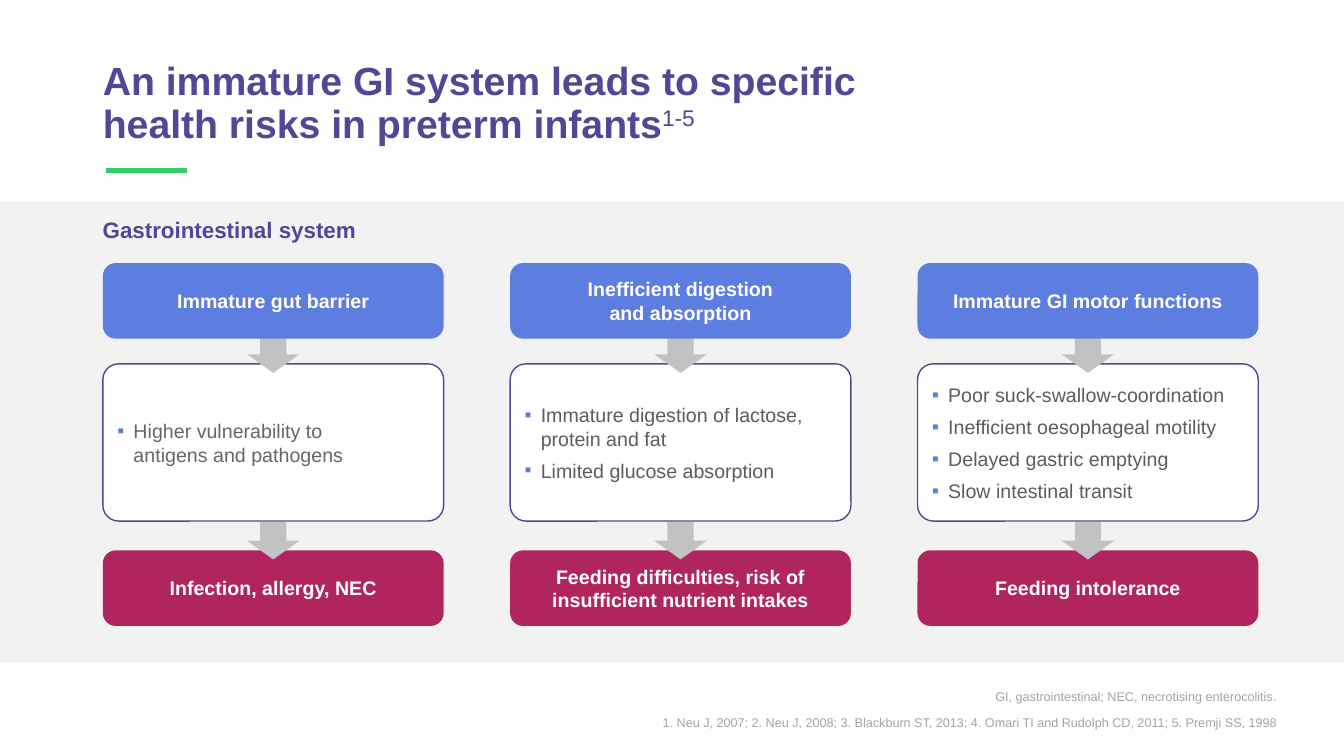
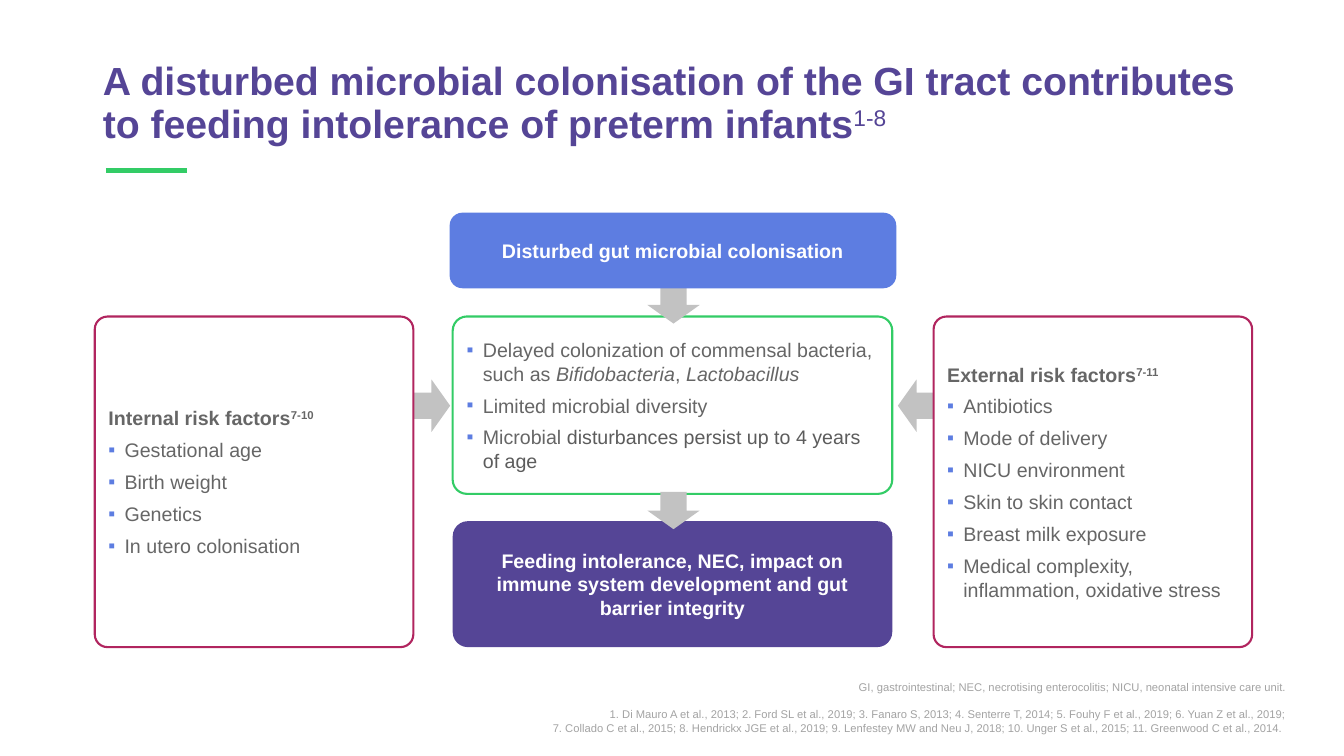
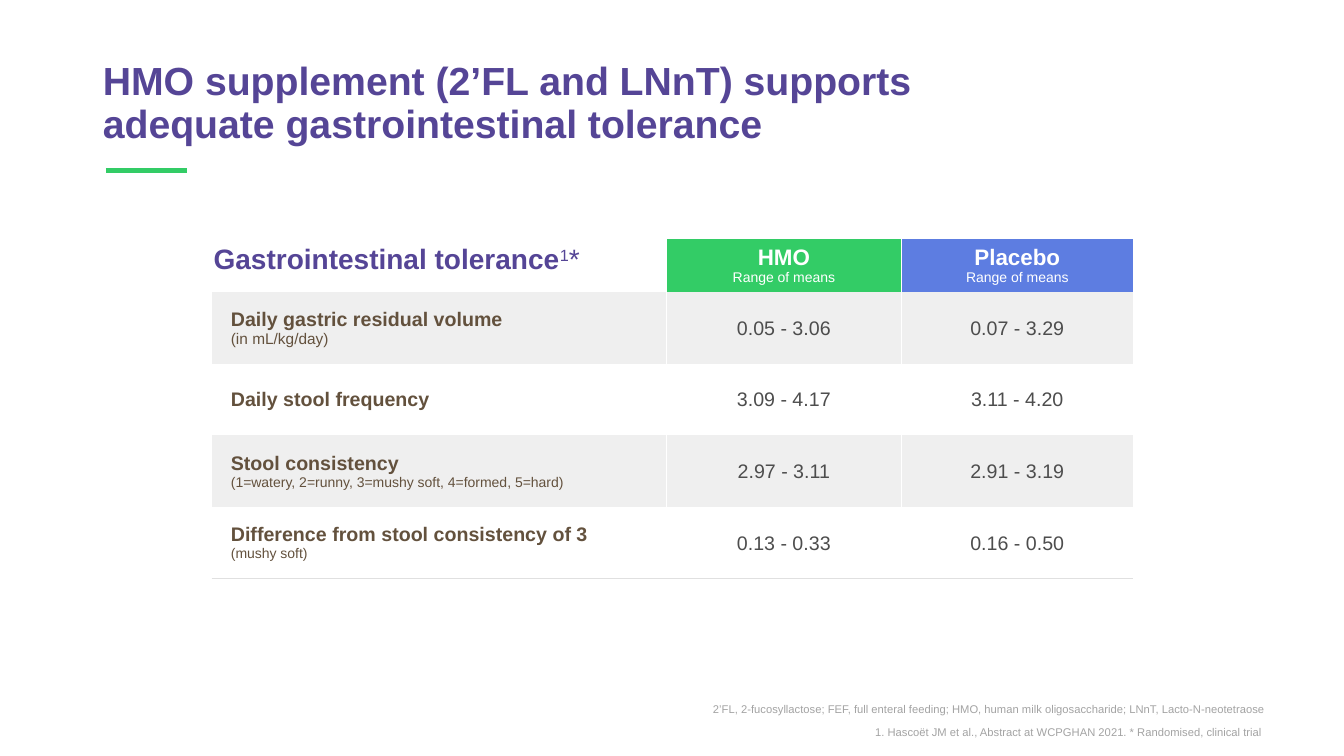
"""Build three slides on gastrointestinal immaturity and tolerance in preterm infants."""
from dataclasses import dataclass

from lxml.etree import SubElement
from pptx import Presentation
from pptx.dml.color import RGBColor
from pptx.enum.shapes import MSO_CONNECTOR, MSO_SHAPE
from pptx.enum.text import MSO_ANCHOR, MSO_AUTO_SIZE, PP_ALIGN
from pptx.oxml.ns import qn
from pptx.util import Inches, Pt


@dataclass(frozen=True)
class Theme:
    font: str = "Arial"
    purple: str = "554596"
    green: str = "33CC66"
    blue: str = "5D7DE1"
    berry: str = "B1255F"
    white: str = "FFFFFF"
    band: str = "F2F2F2"
    arrow: str = "C2C2C2"
    body: str = "666666"
    body_dark: str = "5C5C5C"
    note: str = "A3A3A3"
    row_label: str = "63513D"
    row_value: str = "4D4D4D"
    row_shade: str = "EFEFEF"
    row_rule: str = "E0E0E0"
    title_size: int = 28
    table_title_size: int = 20
    heading_size: int = 16
    body_size: int = 14
    note_size: int = 9
    small_note_size: int = 8


THEME = Theme()
SUPER = {"superscript": True}
LIGHT_SUPER = {"superscript": True, "bold": False}
ITALIC = {"italic": True}

RISK_TITLE = [("An immature GI system leads to specific health risks in preterm infants", {}),
              ("1-5", LIGHT_SUPER)]
RISK_COLUMNS = [
    ("Immature gut barrier", THEME.body,
     ["Higher vulnerability to\nantigens and pathogens"],
     "Infection, allergy, NEC"),
    ("Inefficient digestion\nand absorption", THEME.body_dark,
     ["Immature digestion of lactose, protein and fat", "Limited glucose absorption"],
     "Feeding difficulties, risk of insufficient nutrient intakes"),
    ("Immature GI motor functions", THEME.body_dark,
     ["Poor suck-swallow-coordination", "Inefficient oesophageal motility",
      "Delayed gastric emptying", "Slow intestinal transit"],
     "Feeding intolerance"),
]
RISK_ABBREVIATIONS = [("GI, gastrointestinal; NEC, necrotising enterocolitis", {}),
                      (".", {"size": 10})]
RISK_REFERENCES = ("1. Neu J, 2007; 2. Neu J, 2008; 3. Blackburn ST, 2013; "
                   "4. Omari TI and Rudolph CD, 2011; 5. Premji SS, 1998")

COLONISATION_TITLE = [("A disturbed microbial colonisation of the GI tract contributes "
                       "to feeding intolerance of preterm infants", {}),
                      ("1-8", LIGHT_SUPER)]
COLONISATION_POINTS = [
    [("Delayed colonization of commensal bacteria, such as ", {}), ("Bifidobacteria", ITALIC),
     (", ", {}), ("Lactobacillus", ITALIC)],
    "Limited microbial diversity",
    [("Microbial ", {}),
     ("disturbances persist up to 4 years of age", {"color": THEME.body_dark})],
]
COLONISATION_OUTCOME = ("Feeding intolerance, NEC, impact on immune system development "
                        "and gut barrier integrity")
RISK_FACTORS = [
    (0.94, 4.02, 270, [("Internal risk factors", {}), ("7-10", SUPER)],
     ["Gestational age", "Birth weight", "Genetics", "In utero colonisation"]),
    (9.26, 8.83, 90, [("External risk factors", {}), ("7-11", SUPER)],
     ["Antibiotics", "Mode of delivery", "NICU environment", "Skin to skin contact",
      "Breast milk exposure", "Medical complexity, inflammation, oxidative stress"]),
]
COLONISATION_ABBREVIATIONS = ("GI, gastrointestinal; NEC, necrotising enterocolitis; "
                              "NICU, neonatal intensive care unit.")
COLONISATION_REFERENCES = [
    "1. Di Mauro A et al., 2013; 2. Ford SL et al., 2019; 3. Fanaro S, 2013; "
    "4. Senterre T, 2014; 5. Fouhy F et al., 2019; 6. Yuan Z et al., 2019;",
    "7. Collado C et al., 2015; 8. Hendrickx JGE et al., 2019; 9. Lenfestey MW and Neu J, 2018; "
    "10. Unger S et al., 2015; 11. Greenwood C et al., 2014. ",
]

TOLERANCE_TITLE = "HMO supplement (2’FL and LNnT) supports adequate gastrointestinal tolerance"
TABLE_TITLE = [("Gastrointestinal tolerance", {}), ("1", LIGHT_SUPER), ("*", {"bold": False})]
TABLE_GROUPS = [("HMO", THEME.green), ("Placebo", THEME.blue)]
TABLE_ROWS = [
    ("Daily gastric residual volume", "(in mL/kg/day)", 11, "0.05 - 3.06", "0.07 - 3.29"),
    ("Daily stool frequency", "", 10, "3.09 - 4.17", "3.11 - 4.20"),
    ("Stool consistency", "(1=watery, 2=runny, 3=mushy soft, 4=formed, 5=hard)", 10,
     "2.97 - 3.11", "2.91 - 3.19"),
    ("Difference from stool consistency of 3", "(mushy soft)", 10, "0.13 - 0.33", "0.16 - 0.50"),
]
TABLE_COLUMNS = [4.51, 2.33, 2.3]
HEADER_HEIGHT, ROW_HEIGHT = 0.53, 0.71
PLAIN_TABLE_STYLE = "{2D5ABB26-0587-4C30-8999-92F81FD0307C}"
TOLERANCE_ABBREVIATIONS = ("2’FL, 2-fucosyllactose; FEF, full enteral feeding; "
                           "HMO, human milk oligosaccharide; LNnT, Lacto-N-neotetraose")
TOLERANCE_REFERENCES = ("1. Hascoët JM et al., Abstract at WCPGHAN 2021. "
                        "* Randomised, clinical trial ")

ARROW_WIDTH, ARROW_HEIGHT = 0.52, 0.37
HEADER_BOX_HEIGHT = 0.75


def rgb(color):
    return RGBColor.from_string(color)


def format_run(run, size, color, bold=False, italic=False, superscript=False):
    font = run.font
    font.name, font.size = THEME.font, Pt(size)
    font.bold, font.italic = bold, italic
    font.color.rgb = rgb(color)
    if superscript:
        run._r.get_or_add_rPr().set("baseline", "30000")


def write(frame, text, align=PP_ALIGN.LEFT, bullet=False, indent=0, space_after=0,
          line_spacing=None, **style):
    """Add a paragraph from a string or a list of (text, style) runs."""
    paragraph = frame.paragraphs[0]
    if paragraph.runs:
        paragraph = frame.add_paragraph()
    properties = paragraph._p.get_or_add_pPr()
    if bullet:
        properties.set("marL", str(Inches(0.16)))
        properties.set("indent", str(-Inches(0.16)))
        SubElement(SubElement(properties, qn("a:buClr")), qn("a:srgbClr"), val=THEME.blue)
        SubElement(properties, qn("a:buFont"), typeface=THEME.font)
        SubElement(properties, qn("a:buChar"), char="▪")
    elif indent:
        properties.set("marL", str(Inches(indent)))
    paragraph.alignment = align
    paragraph.space_before, paragraph.space_after = Pt(0), Pt(space_after)
    if line_spacing:
        paragraph.line_spacing = line_spacing
    for content, changes in [(text, {})] if isinstance(text, str) else text:
        run_style = {**style, **changes}
        for number, line in enumerate(content.split("\n")):
            if number:
                line_break = SubElement(paragraph._p, qn("a:br"))
                SubElement(line_break, qn("a:rPr"), sz=str(run_style["size"] * 100))
            run = paragraph.add_run()
            run.text = line
            format_run(run, **run_style)


def add_shape(slide, kind, left, top, width, height, fill, line=None, line_width=1):
    shape = slide.shapes.add_shape(kind, Inches(left), Inches(top), Inches(width), Inches(height))
    shape.shadow.inherit = False
    shape.fill.solid()
    shape.fill.fore_color.rgb = rgb(fill)
    if line:
        shape.line.color.rgb = rgb(line)
        shape.line.width = Pt(line_width)
    else:
        shape.line.fill.background()
    return shape


def add_box(slide, left, top, width, height, fill, rounding=0.17, **outline):
    box = add_shape(slide, MSO_SHAPE.ROUNDED_RECTANGLE, left, top, width, height, fill, **outline)
    box.adjustments[0] = rounding
    box.text_frame.word_wrap = True
    box.text_frame.vertical_anchor = MSO_ANCHOR.MIDDLE
    return box


def add_label_box(slide, text, left, top, width, height, fill, **outline):
    box = add_box(slide, left, top, width, height, fill, **outline)
    write(box.text_frame, text, align=PP_ALIGN.CENTER, size=THEME.body_size,
          color=THEME.white, bold=True)


def add_list_box(slide, points, left, top, width, height, color=THEME.body, heading=None,
                 **outline):
    frame = add_box(slide, left, top, width, height, THEME.white, **outline).text_frame
    style = {"size": THEME.body_size, "color": color, "space_after": 6}
    if heading:
        write(frame, heading, bold=True, **style)
    for point in points:
        write(frame, point, bullet=True, **style)


def add_arrow(slide, left, top, rotation=0):
    arrow = add_shape(slide, MSO_SHAPE.DOWN_ARROW, left, top, ARROW_WIDTH, ARROW_HEIGHT,
                      THEME.arrow)
    arrow.rotation = rotation


def add_text_box(slide, paragraphs, left, top, width, height, anchor=MSO_ANCHOR.TOP, **style):
    box = slide.shapes.add_textbox(Inches(left), Inches(top), Inches(width), Inches(height))
    box.text_frame.word_wrap = True
    box.text_frame.vertical_anchor = anchor
    for paragraph in paragraphs:
        write(box.text_frame, paragraph, **style)


def add_note(slide, paragraphs, left, top, width, height, size=THEME.small_note_size, **style):
    add_text_box(slide, paragraphs, left, top, width, height, align=PP_ALIGN.RIGHT,
                 size=size, color=THEME.note, **style)


def add_slide(presentation, title_text, title_width):
    slide = presentation.slides.add_slide(presentation.slide_layouts[5])
    accent = slide.shapes.add_connector(MSO_CONNECTOR.STRAIGHT, Inches(1.05), Inches(1.69),
                                        Inches(1.85), Inches(1.69))
    accent.line.color.rgb = rgb(THEME.green)
    accent.line.width = Pt(4)
    SubElement(accent._element.spPr, qn("a:effectLst"))
    title = slide.shapes.title
    title.left, title.top = Inches(0.92), Inches(0.4)
    title.width, title.height = Inches(title_width), Inches(1.27)
    title.text_frame.word_wrap = True
    title.text_frame.auto_size = MSO_AUTO_SIZE.NONE
    title.text_frame.vertical_anchor = MSO_ANCHOR.MIDDLE
    write(title.text_frame, title_text, size=THEME.title_size, color=THEME.purple, bold=True,
          line_spacing=0.9)
    return slide


def build_risk_slide(presentation):
    slide = add_slide(presentation, RISK_TITLE, 7.69)
    add_shape(slide, MSO_SHAPE.RECTANGLE, 0, 2, 13.33, 4.57, THEME.band)
    add_text_box(slide, ["Gastrointestinal system"], 0.92, 2.1, 2.75, 0.37,
                 size=THEME.heading_size, color=THEME.purple, bold=True)
    width, pitch = 3.38, 4.04
    for number, (cause, color, effects, outcome) in enumerate(RISK_COLUMNS):
        left = 1.02 + number * pitch
        arrow_left = left + (width - ARROW_WIDTH) / 2
        add_list_box(slide, effects, left, 3.61, width, 1.56, color=color, rounding=0.1,
                     line=THEME.purple)
        add_label_box(slide, outcome, left, 5.46, width, HEADER_BOX_HEIGHT, THEME.berry)
        for arrow_top in (3.33, 5.18):
            add_arrow(slide, arrow_left, arrow_top)
        add_label_box(slide, cause, left, 2.61, width, HEADER_BOX_HEIGHT, THEME.blue)
    add_note(slide, [RISK_ABBREVIATIONS], 9.74, 6.77, 3.02, 0.27, size=THEME.note_size)
    add_note(slide, [RISK_REFERENCES], 6.39, 7.04, 6.37, 0.25, size=THEME.note_size,
             anchor=MSO_ANCHOR.MIDDLE)


def build_colonisation_slide(presentation):
    slide = add_slide(presentation, COLONISATION_TITLE, 11.62)
    for left, arrow_left, rotation, heading, factors in RISK_FACTORS:
        add_arrow(slide, arrow_left, 3.84, rotation)
        add_list_box(slide, factors, left, 3.14, 3.16, 3.28, heading=heading, rounding=0.04,
                     line=THEME.berry, line_width=1.5)
    add_list_box(slide, COLONISATION_POINTS, 4.49, 3.14, 4.36, 1.76, rounding=0.08,
                 line=THEME.green, line_width=1.5)
    add_label_box(slide, COLONISATION_OUTCOME, 4.49, 5.17, 4.36, 1.25, THEME.purple,
                  rounding=0.12)
    for arrow_top in (2.84, 4.88):
        add_arrow(slide, 6.42, arrow_top)
    add_label_box(slide, "Disturbed gut microbial colonisation", 4.46, 2.11, 4.43,
                  HEADER_BOX_HEIGHT, THEME.blue)
    add_note(slide, [COLONISATION_ABBREVIATIONS], 8.37, 6.7, 4.49, 0.24)
    add_note(slide, COLONISATION_REFERENCES, 4.36, 6.97, 8.5, 0.37, anchor=MSO_ANCHOR.MIDDLE)


def format_cell(cell, fill, margins=None, **borders):
    properties = cell._tc.get_or_add_tcPr()
    for side in ("lnL", "lnR", "lnB"):
        if side in borders:
            line = SubElement(properties, qn("a:" + side), w=str(Pt(1)))
            SubElement(SubElement(line, qn("a:solidFill")), qn("a:srgbClr"), val=borders[side])
    cell.fill.solid()
    cell.fill.fore_color.rgb = rgb(fill)
    cell.vertical_anchor = MSO_ANCHOR.MIDDLE
    if margins:
        cell.margin_left, cell.margin_top, cell.margin_right, cell.margin_bottom = map(
            Inches, margins)


def build_tolerance_slide(presentation):
    slide = add_slide(presentation, TOLERANCE_TITLE, 8.73)
    row_heights = [HEADER_HEIGHT] + [ROW_HEIGHT] * len(TABLE_ROWS)
    frame = slide.shapes.add_table(len(row_heights), len(TABLE_COLUMNS), Inches(2.1), Inches(2.37),
                                   Inches(sum(TABLE_COLUMNS)), Inches(sum(row_heights)))
    table = frame.table
    table.first_row = table.horz_banding = False
    table._tbl.tblPr.find(qn("a:tableStyleId")).text = PLAIN_TABLE_STYLE
    for column, width in zip(table.columns, TABLE_COLUMNS):
        column.width = Inches(width)
    for row, height in zip(table.rows, row_heights):
        row.height = Inches(height)

    format_cell(table.cell(0, 0), THEME.white)
    for column, (group, fill) in enumerate(TABLE_GROUPS, 1):
        cell = table.cell(0, column)
        format_cell(cell, fill, lnL=THEME.white)
        style = {"align": PP_ALIGN.CENTER, "color": THEME.white}
        write(cell.text_frame, group, size=THEME.heading_size, bold=True, **style)
        write(cell.text_frame, "Range of means", size=10, **style)

    for number, (label, detail, detail_size, *values) in enumerate(TABLE_ROWS, 1):
        fill = THEME.row_shade if number % 2 else THEME.white
        rule = {"lnB": THEME.row_rule} if number == len(TABLE_ROWS) else {}
        cell = table.cell(number, 0)
        format_cell(cell, fill, (0.03, 0, 0.03, 0), lnR=THEME.white, **rule)
        style = {"indent": 0.16, "color": THEME.row_label}
        write(cell.text_frame, label, size=THEME.body_size, bold=True, **style)
        if detail:
            write(cell.text_frame, detail, size=detail_size, **style)
        for column, value in enumerate(values, 1):
            cell = table.cell(number, column)
            format_cell(cell, fill, (0.01, 0.01, 0.01, 0), lnL=THEME.white, **rule)
            write(cell.text_frame, value, align=PP_ALIGN.CENTER, size=THEME.body_size,
                  color=THEME.row_value)

    add_text_box(slide, [TABLE_TITLE], 2.02, 2.4, 4.7, 0.33, anchor=MSO_ANCHOR.MIDDLE,
                 size=THEME.table_title_size, color=THEME.purple, bold=True)
    add_note(slide, [TOLERANCE_ABBREVIATIONS], 6.71, 6.92, 5.94, 0.24)
    add_note(slide, [TOLERANCE_REFERENCES], 6.71, 7.15, 5.94, 0.24)


def main():
    presentation = Presentation()
    presentation.slide_width, presentation.slide_height = Inches(13.33), Inches(7.5)
    build_risk_slide(presentation)
    build_colonisation_slide(presentation)
    build_tolerance_slide(presentation)
    presentation.save("out.pptx")


if __name__ == "__main__":
    main()
